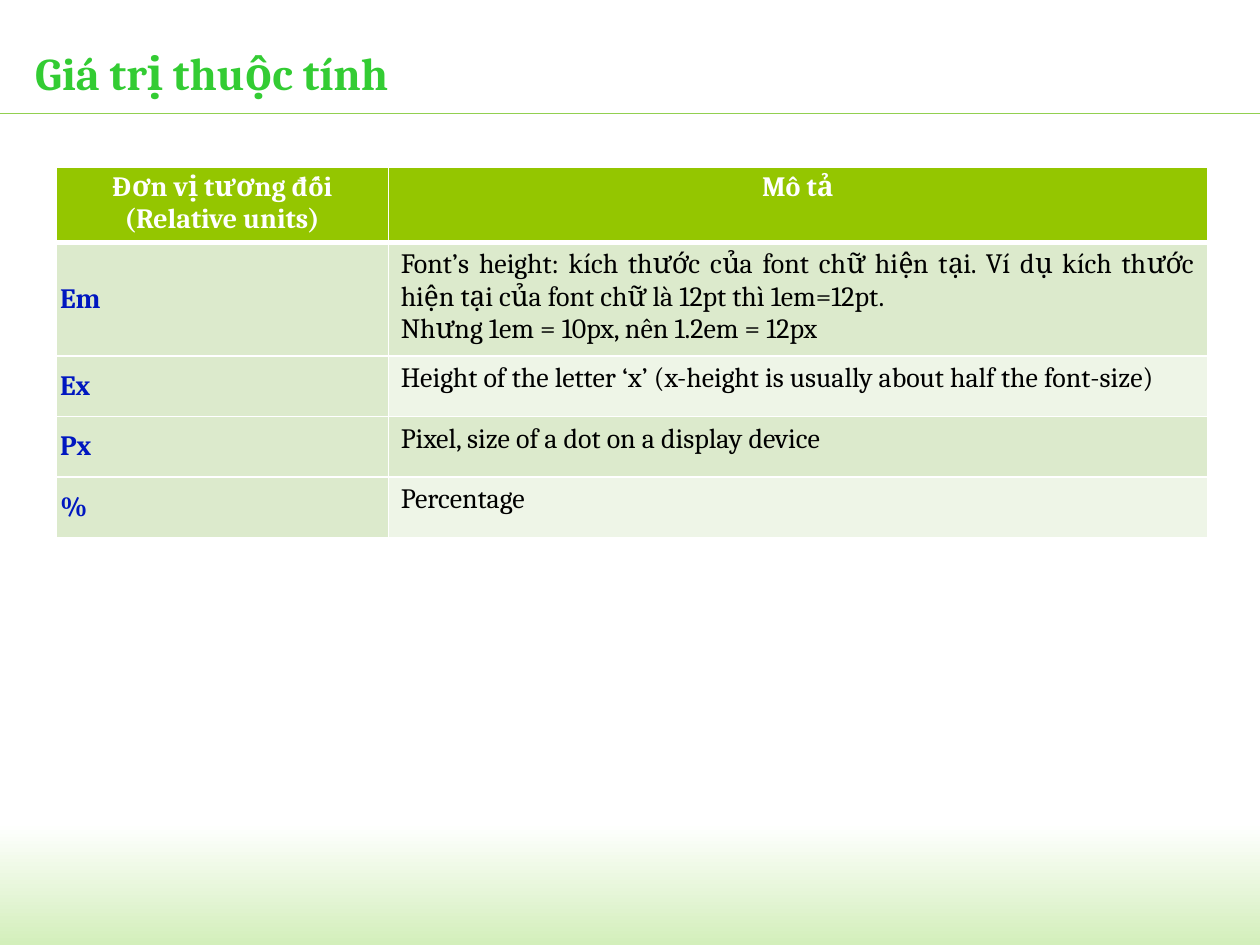
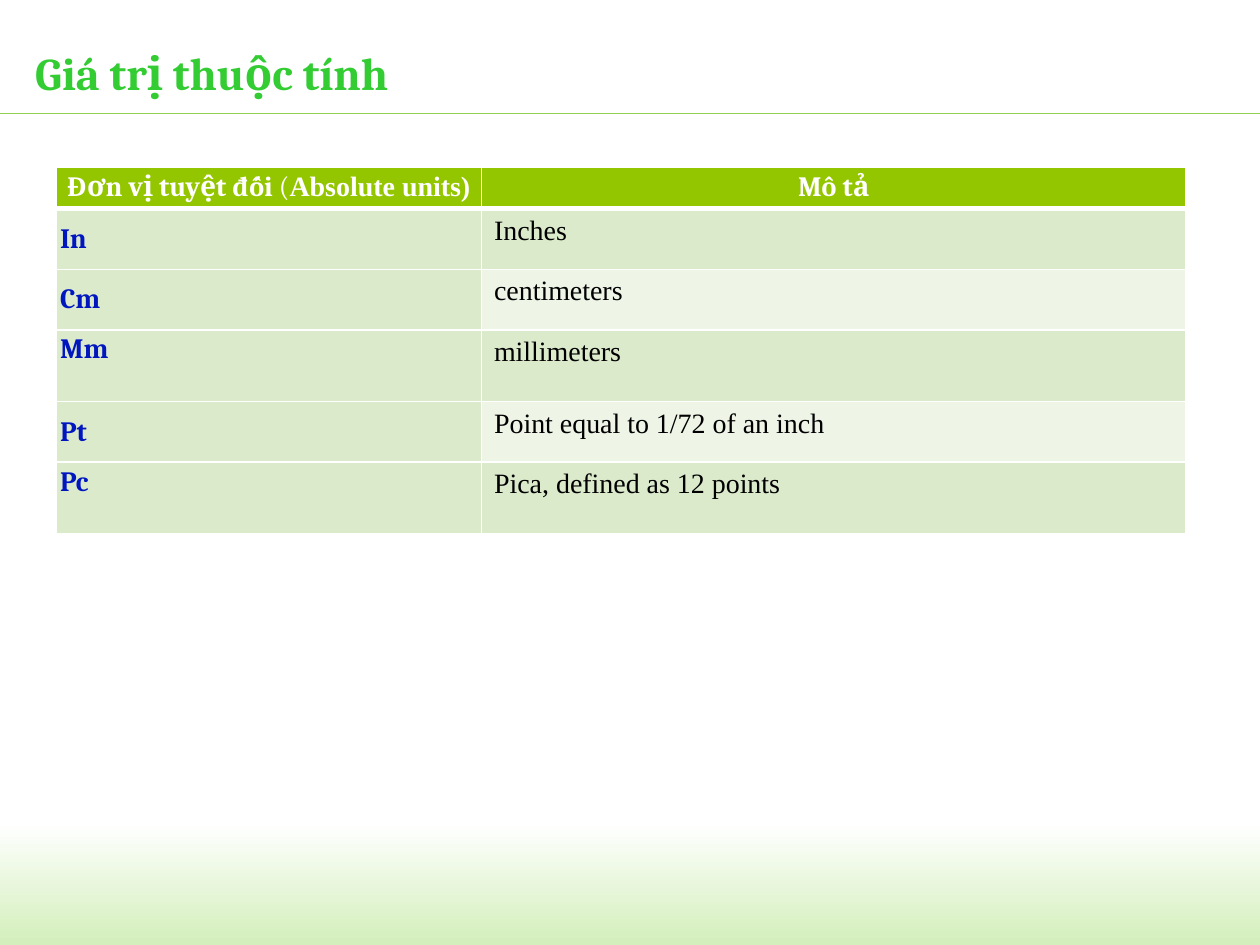
from lxml.etree import SubElement
from pptx import Presentation
from pptx.dml.color import RGBColor
from pptx.enum.shapes import MSO_CONNECTOR, MSO_SHAPE
from pptx.enum.text import MSO_ANCHOR, PP_ALIGN
from pptx.oxml.ns import qn
from pptx.util import Cm, Pt

WHITE, BLACK = "FFFFFF", "000000"
TITLE_GREEN, RULE_GREEN, BAND_GREEN = "33CC33", "92D050", "D3EFBB"
HEADER_GREEN, ROW_DARK, ROW_LIGHT = "94C600", "DCEACC", "EEF5E7"
UNIT_BLUE = "0017C0"
HEAD_FONT, SERIF_FONT = "Cambria", "Times New Roman"


def rgb(color):
    return RGBColor.from_string(color)


class Deck:
    def __init__(self):
        self.prs = Presentation()
        self.prs.slide_width, self.prs.slide_height = Cm(25.4), Cm(19.05)
        self.s = None

    def slide(self, title):
        self.s = self.prs.slides.add_slide(self.prs.slide_layouts[6])
        self.band(-0.08, 16.59, 25.48, 2.46)
        self.rule(2.29)
        self.title(title)

    def band(self, x, y, w, h):
        sp = self.s.shapes.add_shape(MSO_SHAPE.RECTANGLE, Cm(x), Cm(y), Cm(w), Cm(h))
        sp.shadow.inherit = False
        sp.line.fill.background()
        sp.fill.gradient()
        sp.fill.gradient_angle = 270
        for stop, color in zip(sp.fill.gradient_stops, (WHITE, BAND_GREEN)):
            stop.color.rgb = rgb(color)

    def rule(self, y):
        line = self.s.shapes.add_connector(
            MSO_CONNECTOR.STRAIGHT, 0, Cm(y), self.prs.slide_width, Cm(y))
        line.line.color.rgb = rgb(RULE_GREEN)
        line.line.width = Pt(0.75)
        SubElement(line._element.spPr, qn("a:effectLst"))

    def title(self, text):
        tf = self.s.shapes.add_textbox(Cm(0.71), Cm(0.64), Cm(23.8), Cm(1.63)).text_frame
        tf.word_wrap = True
        tf.vertical_anchor = MSO_ANCHOR.MIDDLE
        tf.margin_left = tf.margin_right = tf.margin_top = tf.margin_bottom = 0
        tf.text = text
        self.style(tf, TITLE_GREEN, size=26, bold=True)

    def style(self, tf, color, font=HEAD_FONT, size=16, bold=False, align=PP_ALIGN.LEFT):
        for p in tf.paragraphs:
            p.alignment = align
            for r in p.runs:
                self.style_run(r, color, font, size, bold)

    def style_run(self, r, color, font, size, bold):
        r.font.name, r.font.size, r.font.bold = font, Pt(size), bold
        r.font.color.rgb = rgb(color)

    def add_run(self, cell, text, font, bold):
        r = cell.text_frame.paragraphs[0].add_run()
        r.text = text
        self.style_run(r, WHITE, font, 16, bold)

    def borders(self, cell, top=1, bottom=1):
        tcPr = cell._tc.get_or_add_tcPr()
        for side, width in (("L", 1), ("R", 1), ("T", top), ("B", bottom)):
            ln = SubElement(tcPr, qn(f"a:ln{side}"), w=str(Pt(width)))
            SubElement(SubElement(ln, qn("a:solidFill")), qn("a:srgbClr"), val=WHITE)

    def cell(self, cell, text, fill, margins, anchor=MSO_ANCHOR.TOP, top=1, bottom=1, **style):
        self.borders(cell, top, bottom)
        cell.fill.solid()
        cell.fill.fore_color.rgb = rgb(fill)
        cell.margin_left = cell.margin_right = Cm(margins[0])
        cell.margin_top = cell.margin_bottom = Cm(margins[1])
        cell.vertical_anchor = anchor
        cell.text_frame.text = text
        self.style(cell.text_frame, **style)

    def table(self, header, units, widths, heights, font=HEAD_FONT, top_units=()):
        table = self.s.shapes.add_table(
            len(units) + 1, 2, Cm(1.13), Cm(3.37), Cm(sum(widths)), Cm(sum(heights))).table
        for column, width in zip(table.columns, widths):
            column.width = Cm(width)
        for row, height in zip(table.rows, heights):
            row.height = Cm(height)
        tight, roomy = (0.08, 0.08), (0.25, 0.13)
        for col, text in enumerate(header):
            self.cell(table.cell(0, col), text, HEADER_GREEN, tight, bottom=3,
                      color=WHITE, bold=True, align=PP_ALIGN.CENTER)
        for row, (unit, meaning) in enumerate(units, 1):
            top = 3 if row == 1 else 1
            anchor = MSO_ANCHOR.TOP if unit in top_units else MSO_ANCHOR.MIDDLE
            self.cell(table.cell(row, 0), unit, ROW_DARK, tight, anchor, top,
                      color=UNIT_BLUE, bold=True)
            self.cell(table.cell(row, 1), meaning, ROW_DARK if row % 2 else ROW_LIGHT, roomy,
                      top=top, color=BLACK, font=font, align=PP_ALIGN.JUSTIFY)
        return table


def main():
    deck = Deck()
    title = "Giá trị thuộc tính"

    deck.slide(title)
    relative_units = [
        ("Em", "Font’s height: kích thước của font chữ hiện tại. Ví dụ kích thước hiện tại "
               "của font chữ là 12pt thì 1em=12pt.\nNhưng 1em = 10px, nên 1.2em = 12px"),
        ("Ex", "Height of the letter ‘x’ (x-height is usually about half the font-size)"),
        ("Px", "Pixel, size of a dot on a display device"),
        ("%", "Percentage"),
    ]
    deck.table(("Đơn vị tương đối (Relative units)", "Mô tả"), relative_units,
               (6.7, 16.51), (1.42, 2.18, 1.22, 1.22, 1.22))

    deck.slide(title)
    absolute_units = [
        ("In", "Inches"),
        ("Cm", "centimeters"),
        ("Mm", "millimeters"),
        ("Pt", "Point equal to 1/72 of an inch"),
        ("Pc", "Pica, defined as 12 points"),
    ]
    table = deck.table(("Đơn vị tuyệt đối ", "Mô tả"), absolute_units,
                       (8.58, 14.2), (0.78, 1.22, 1.22, 1.45, 1.22, 1.45),
                       font=SERIF_FONT, top_units=("Mm", "Pc"))
    deck.add_run(table.cell(0, 0), "(", HEAD_FONT, False)
    deck.add_run(table.cell(0, 0), "Absolute units)", SERIF_FONT, True)

    deck.prs.save("out.pptx")


if __name__ == "__main__":
    main()
